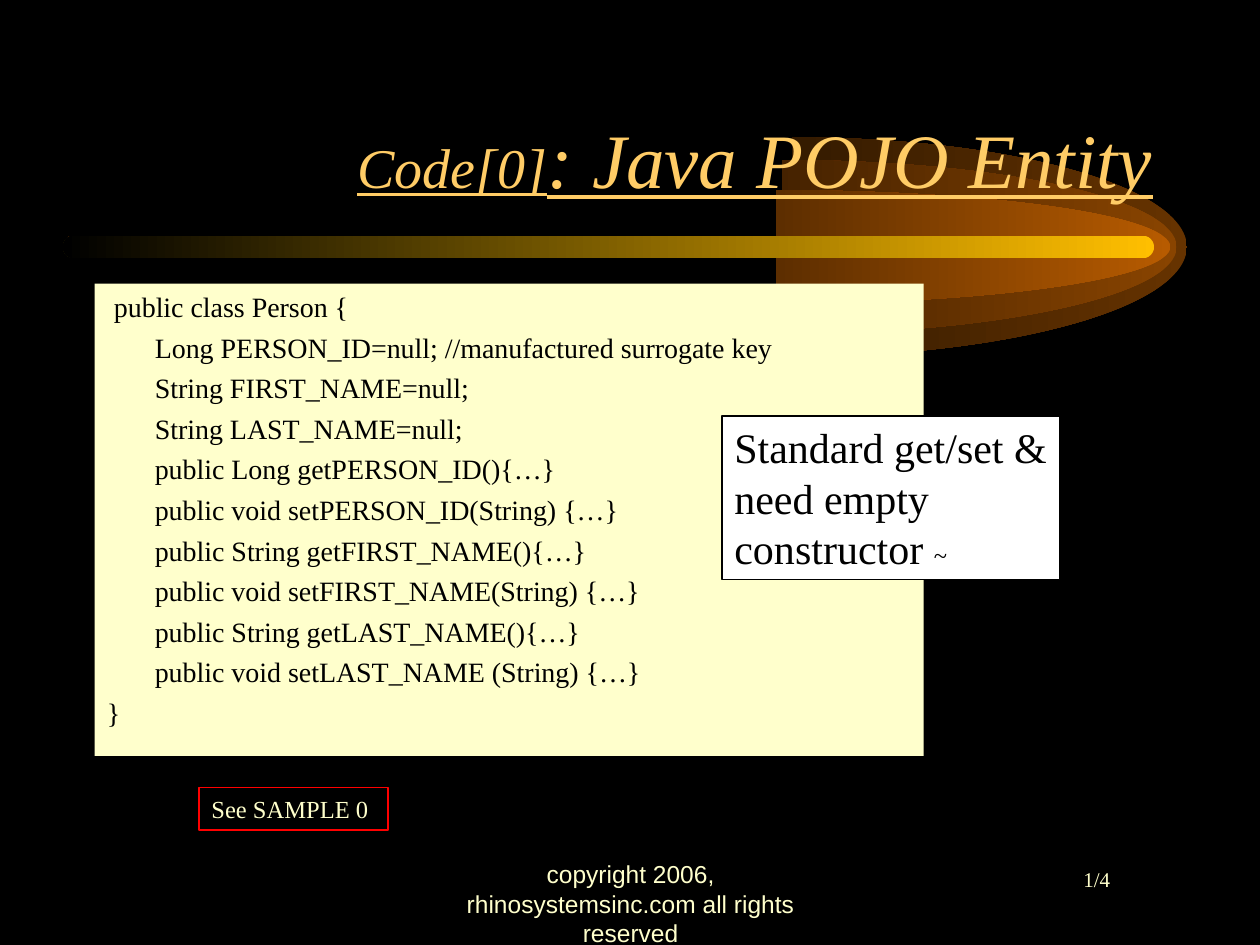
"""Build the Java POJO entity slide with its comet motif."""
from lxml.etree import SubElement
from pptx import Presentation
from pptx.dml.color import RGBColor
from pptx.enum.shapes import MSO_SHAPE as SHAPE
from pptx.enum.text import MSO_ANCHOR as ANCHOR, PP_ALIGN as ALIGN
from pptx.oxml.ns import qn
from pptx.util import Inches, Pt


def rgb(value):
    return RGBColor.from_string(value)


def add_box(box, text, size, color, fill=None, line=None, font="Times New Roman"):
    sp = s.shapes.add_shape(SHAPE.RECTANGLE, *map(Inches, box))
    sp.shadow.inherit = False
    for part, value in ((sp.fill, fill), (sp.line.fill, line)):
        if value:
            part.solid()
            part.fore_color.rgb = rgb(value)
        else:
            part.background()
    if line:
        sp.line.width = Pt(1)
    tf = sp.text_frame
    tf.word_wrap = True
    tf.vertical_anchor = ANCHOR.TOP
    tf.text = text
    for p in tf.paragraphs:
        p.alignment = ALIGN.LEFT
        p.font.name = font
        p.font.size = Pt(size)
        p.font.color.rgb = rgb(color)
    return tf


prs = Presentation()
prs.slide_width, prs.slide_height = Inches(10), Inches(7.5)
s = prs.slides.add_slide(prs.slide_layouts[5])
s.background.fill.solid()
s.background.fill.fore_color.rgb = rgb("000000")

motif = []
rx, mid, bend = 3.13, 1.96, 0.55
for x, ry, color in ((6.29, 0.87, "663300"), (6.21, 0.69, "894400"), (6.16, 0.45, "B75B00")):
    units = [(0, -1), (bend, -1), (1, -bend), (1, 0), (1, bend), (bend, 1), (0, 1), (0, 0)]
    points = [(Inches(x + rx * u), Inches(mid + ry * v)) for u, v in units]
    fb = s.shapes.build_freeform(*points[0])
    fb.add_line_segments(points[1:], close=True)
    sp = fb.convert_to_shape()
    outline = next(sp._element.iter(qn("a:path")))
    lines = outline.findall(qn("a:lnTo"))
    for trio in (lines[:3], lines[3:6]):
        curve = SubElement(outline, qn("a:cubicBezTo"))
        trio[0].addprevious(curve)
        for ln in trio:
            curve.append(ln[0])
            outline.remove(ln)
    half = int(outline.get("w"))
    outline.set("w", str(2 * half))
    for pt in outline.iter(qn("a:pt")):
        pt.set("x", str(int(pt.get("x")) + half))
    sp.left, sp.width = Inches(x - rx), Inches(2 * rx)
    motif.append((sp, color))

bar = s.shapes.add_shape(SHAPE.ROUNDED_RECTANGLE, Inches(0.5), Inches(1.87), Inches(8.66), Inches(0.18))
bar.adjustments[0] = 0.5
motif.append((bar, "FFBF00"))

for sp, color in motif:
    sp.shadow.inherit = False
    sp.line.fill.background()
    sp.fill.gradient()
    sp.fill.gradient_angle = 180
    for stop, value in zip(sp.fill.gradient_stops, (color, "000000")):
        stop.color.rgb = rgb(value)

title = s.shapes.title
bar._element.addnext(title._element)
title.left, title.top, title.width, title.height = map(Inches, (0.75, 0.42, 8.5, 1.25))
tf = title.text_frame
tf.word_wrap = True
tf.vertical_anchor = ANCHOR.BOTTOM
p = tf.paragraphs[0]
p.alignment = ALIGN.RIGHT
for text, size in (("Code[0]", 32), (": Java POJO Entity", 44)):
    r = p.add_run()
    r.text = text
    r.font.name = "Times New Roman"
    r.font.size = Pt(size)
    r.font.italic = r.font.underline = True
    r.font.color.rgb = rgb("FFCC66")

code = """ public class Person {
Long PERSON_ID=null; //manufactured surrogate key
String FIRST_NAME=null;
String LAST_NAME=null;
public Long getPERSON_ID(){…}
public void setPERSON_ID(String) {…}
public String getFIRST_NAME(){…}
public void setFIRST_NAME(String) {…}
public String getLAST_NAME(){…}
public void setLAST_NAME (String) {…}
}"""
tf = add_box((0.75, 2.25, 6.58, 3.75), code, 16, "000000", fill="FFFFCC")
for p in tf.paragraphs[1:]:
    p.space_before = Pt(4)
for p in tf.paragraphs[1:-1]:
    p._p.get_or_add_pPr().set("marL", str(Inches(0.38)))

add_box((1.58, 6.25, 1.5, 0.34), "See SAMPLE 0", 14, "FFFFCC", line="FF0000")
tf = add_box((8.5, 6.83, 0.41, 0.3), "1/4", 12, "FFFFCC")
tf.word_wrap = False

tf = add_box((5.73, 3.3, 2.68, 1.3), "Standard get/set & need empty constructor ", 24, "000000",
             fill="FFFFFF", line="000000")
r = tf.paragraphs[0].add_run()
r.text = "~"
r.font.size = Pt(14)

tf = add_box((3.42, 6.92, 3.17, 0.5), "copyright 2006, rhinosystemsinc.com all rights reserved",
             14, "FFFFCC", font="Arial")
tf.vertical_anchor = ANCHOR.MIDDLE
tf.paragraphs[0].alignment = ALIGN.CENTER

prs.save("out.pptx")
